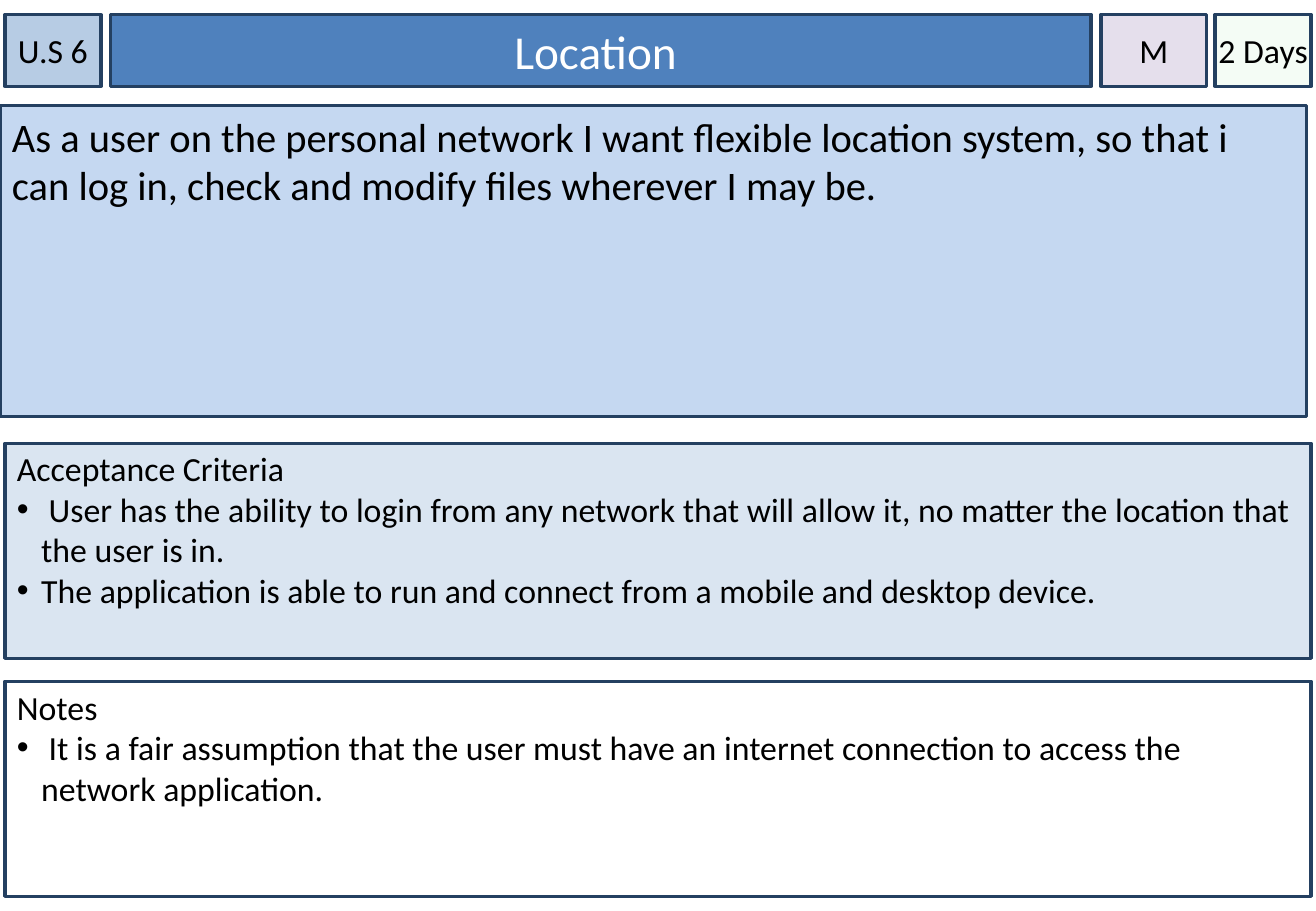
import pptx
import pptx.dml.color
import pptx.enum.shapes
import pptx.enum.text
import pptx.oxml.ns
import pptx.util
from lxml import etree
from pptx.dml.color import RGBColor
from pptx.util import Inches

NAVY = RGBColor(0x24, 0x40, 0x61)
BLACK = RGBColor(0, 0, 0)
WHITE = RGBColor(0xFF, 0xFF, 0xFF)
STORY_ID_BLUE = RGBColor(0xB7, 0xCC, 0xE4)
TITLE_BLUE = RGBColor(0x4F, 0x81, 0xBD)
STORY_BLUE = RGBColor(0xC5, 0xD8, 0xF1)
CRITERIA_BLUE = RGBColor(0xDA, 0xE5, 0xF1)
ESTIMATE_GREEN = RGBColor(0xCC, 0xF0, 0xCD)
PRIORITY_LILAC = RGBColor(0xE5, 0xDF, 0xEC)


class StoryCard:
    """Draws the boxes of a user story card on one slide."""

    font_name = "Calibri"
    header_top, header_height = 0.12, 0.59
    panel_width = 10.75

    def __init__(self, page):
        self.page = page

    def box(self, left, top, width, height, fill, side_inset=0.1, top_inset=0.05):
        box = self.page.shapes.add_shape(
            pptx.enum.shapes.MSO_SHAPE.RECTANGLE,
            Inches(left), Inches(top), Inches(width), Inches(height))
        box.shadow.inherit = False
        box.fill.solid()
        box.fill.fore_color.rgb = fill
        box.line.color.rgb = NAVY
        box.line.width = pptx.util.Pt(2)
        frame = box.text_frame
        frame.word_wrap = True
        frame.margin_left = frame.margin_right = Inches(side_inset)
        frame.margin_top = Inches(top_inset)
        frame.margin_bottom = Inches(0.05)
        frame.vertical_anchor = pptx.enum.text.MSO_ANCHOR.TOP
        return box

    def set_text(self, para, text, size, color=BLACK, align=pptx.enum.text.PP_ALIGN.LEFT):
        para.text = text
        para.alignment = align
        para.font.name = self.font_name
        para.font.size = pptx.util.Pt(size)
        para.font.color.rgb = color

    def header(self, left, width, fill, text, size=20, color=BLACK, side_inset=0):
        box = self.box(left, self.header_top, width, self.header_height, fill, side_inset)
        box.text_frame.vertical_anchor = pptx.enum.text.MSO_ANCHOR.MIDDLE
        self.set_text(box.text_frame.paragraphs[0], text, size, color,
                      pptx.enum.text.PP_ALIGN.CENTER)
        return box

    def story(self, text):
        box = self.box(0, 0.87, self.panel_width, 2.56, STORY_BLUE)
        self.set_text(box.text_frame.paragraphs[0], text, 24)

    def panel(self, top, fill, heading, items):
        frame = self.box(0.04, top, self.panel_width, 1.77, fill, top_inset=0.04).text_frame
        self.set_text(frame.paragraphs[0], heading, 20)
        for item in items:
            para = frame.add_paragraph()
            self.bullet(para)
            self.set_text(para, item, 20)

    def bullet(self, para):
        properties = para._p.get_or_add_pPr()
        properties.set("marL", str(Inches(0.2)))
        properties.set("indent", str(Inches(-0.2)))
        for tag, name, value in (("a:buFont", "typeface", "Arial"), ("a:buChar", "char", "•")):
            etree.SubElement(properties, pptx.oxml.ns.qn(tag)).set(name, value)

    def set_opacity(self, box, percent):
        qn = pptx.oxml.ns.qn
        color = box._element.spPr.find(qn("a:solidFill")).find(qn("a:srgbClr"))
        etree.SubElement(color, qn("a:alpha")).set("val", str(percent * 1000))


def main():
    deck = pptx.Presentation()
    deck.slide_width, deck.slide_height = Inches(10.83), Inches(7.5)
    card = StoryCard(deck.slides.add_slide(deck.slide_layouts[6]))

    card.header(0.04, 0.79, STORY_ID_BLUE, "U.S 6")
    card.header(0.91, 8.07, TITLE_BLUE, "Location ", 28, WHITE, 0.1)
    card.story("As a user on the personal network I want flexible location system, "
               "so that i can log in, check and modify files wherever I may be.")
    card.panel(3.65, CRITERIA_BLUE, "Acceptance Criteria", [
        " User has the ability to login from any network that will allow it, "
        "no matter the location that the user is in.",
        "The application is able to run and connect from a mobile and desktop device.",
    ])
    estimate = card.header(10, 0.79, ESTIMATE_GREEN, "2 Days")
    card.set_opacity(estimate, 20)
    card.header(9.06, 0.87, PRIORITY_LILAC, "M")
    card.panel(5.61, WHITE, "Notes", [
        " It is a fair assumption that the user must have an internet connection "
        "to access the network application.",
    ])
    deck.save("out.pptx")


if __name__ == "__main__":
    main()
